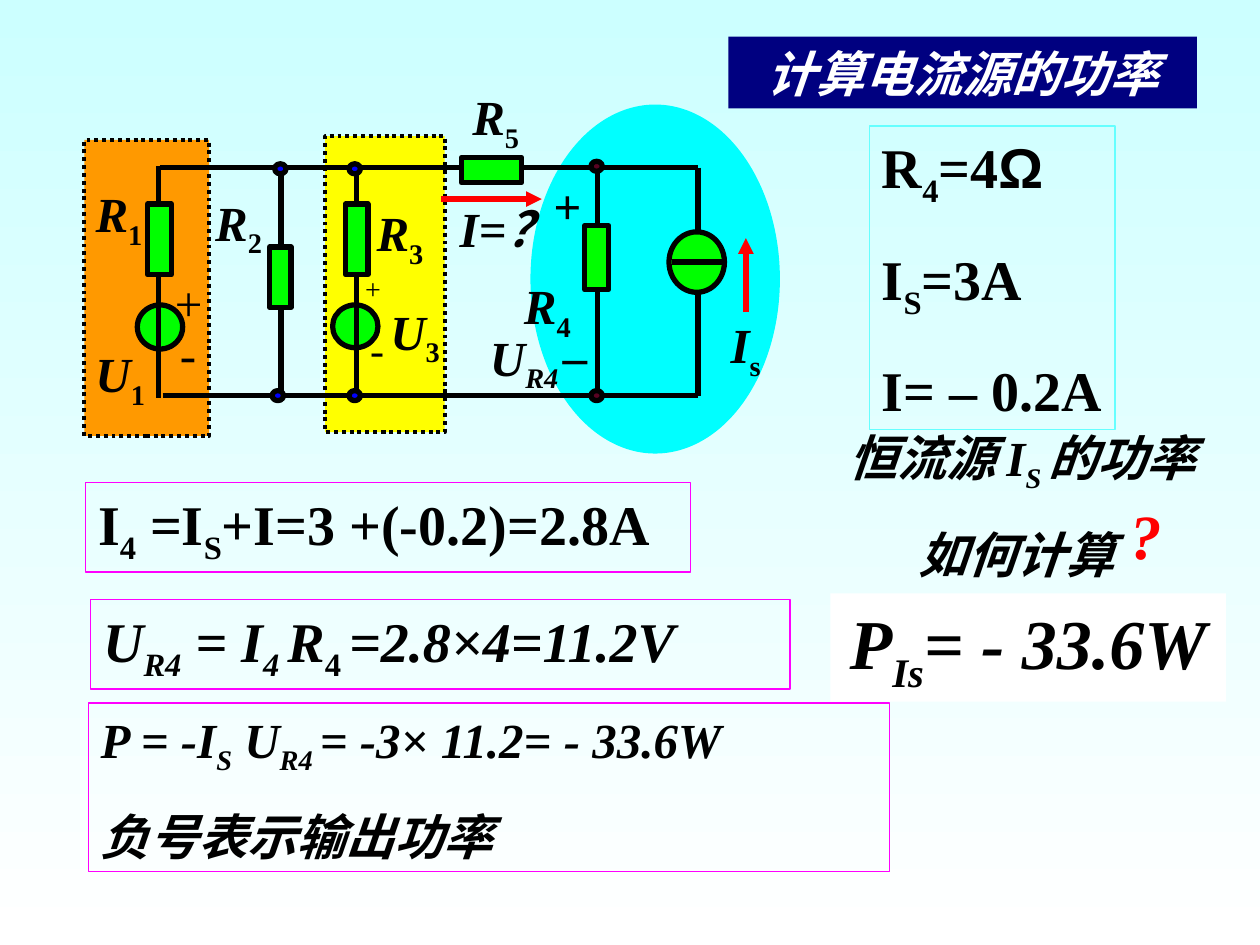
from itertools import pairwise

from lxml.etree import SubElement
from pptx import Presentation
from pptx.dml.color import RGBColor
from pptx.enum.dml import MSO_LINE
from pptx.enum.shapes import MSO_CONNECTOR, MSO_SHAPE
from pptx.enum.text import MSO_ANCHOR as ANCHOR, MSO_AUTO_SIZE as FIT, PP_ALIGN as ALIGN
from pptx.oxml.ns import qn
from pptx.util import Pt

PX = 9144
FONT = "Times New Roman"
BLACK = RGBColor(0x00, 0x00, 0x00)
WHITE = RGBColor(0xFF, 0xFF, 0xFF)
RED = RGBColor(0xFF, 0x00, 0x00)
GREEN = RGBColor(0x00, 0xFF, 0x00)
BLUE = RGBColor(0x00, 0x00, 0xFF)
MAROON = RGBColor(0x59, 0x03, 0x22)
CYAN = RGBColor(0x00, 0xFF, 0xFF)
PALE_CYAN = RGBColor(0xCC, 0xFF, 0xFF)
FRAME_CYAN = RGBColor(0x66, 0xFF, 0xFF)
YELLOW = RGBColor(0xFF, 0xFF, 0x00)
ORANGE = RGBColor(0xFF, 0x99, 0x00)
NAVY = RGBColor(0x00, 0x00, 0x80)
MAGENTA = RGBColor(0xFF, 0x00, 0xFF)
RECT, OVAL = MSO_SHAPE.RECTANGLE, MSO_SHAPE.OVAL


def scaled(*lengths):
    return [n * PX for n in lengths]


def paint_background(slide):
    fill = slide.background.fill
    fill.gradient()
    fill.gradient_angle = 270
    for stop, color in zip(fill.gradient_stops, (PALE_CYAN, WHITE)):
        stop.color.rgb = color


def add_block(slide, kind, box, fill=None, line=None, width=3, dash=None):
    sp = slide.shapes.add_shape(kind, *scaled(*box))
    sp.shadow.inherit = False
    if fill is None:
        sp.fill.background()
    else:
        sp.fill.solid()
        sp.fill.fore_color.rgb = fill
    if line is None:
        sp.line.fill.background()
    else:
        sp.line.color.rgb = line
        sp.line.width = Pt(width)
        sp.line.dash_style = dash
    return sp


def add_wire(slide, x1, y1, x2, y2, color=BLACK, arrow=False):
    cx = slide.shapes.add_connector(MSO_CONNECTOR.STRAIGHT, *scaled(x1, y1, x2, y2))
    cx.line.color.rgb = color
    cx.line.width = Pt(3)
    if arrow:
        SubElement(cx.line._get_or_add_ln(), qn("a:tailEnd"), type="triangle")
    SubElement(cx._element.spPr, qn("a:effectLst"))
    return cx


def add_runs(p, markup):
    for i, part in enumerate(markup.split("|")):
        if not part:
            continue
        r = p.add_run()
        r.text = part.lstrip("^")
        if part.startswith("^"):
            r.font.italic = False
        if i % 2:
            r._r.get_or_add_rPr().set("baseline", "-25000")


def write(sp, lines, size=28, color=BLACK, bold=True, italic=True,
          align=ALIGN.LEFT, anchor=ANCHOR.MIDDLE, wrap=True, fit=FIT.SHAPE_TO_FIT_TEXT):
    tf = sp.text_frame
    tf.word_wrap = wrap
    tf.auto_size = fit
    tf.vertical_anchor = anchor
    for i, markup in enumerate(lines):
        p = tf.add_paragraph() if i else tf.paragraphs[0]
        p.alignment = align
        p.space_before = Pt(size * 0.625 if i else 0)
        p.font.name = FONT
        p.font.size = Pt(size)
        p.font.bold = bold
        p.font.italic = italic
        p.font.color.rgb = color
        add_runs(p, markup)


def add_label(slide, box, lines, wrap=False, **style):
    write(slide.shapes.add_textbox(*scaled(*box)), lines, wrap=wrap, **style)


def add_title(slide):
    sp = slide.shapes.title
    sp.left, sp.top, sp.width, sp.height = scaled(578, 29, 372, 57)
    sp.fill.solid()
    sp.fill.fore_color.rgb = NAVY
    write(sp, ["计算电流源的功率"], color=WHITE, align=ALIGN.CENTER, fit=FIT.NONE)


def add_circuit(slide):
    add_block(slide, OVAL, (421, 83, 198, 277), CYAN)
    for box, color in (((258, 108, 95, 235), YELLOW), ((67, 111, 99, 235), ORANGE)):
        add_block(slide, RECT, box, color, BLACK, 2.25, MSO_LINE.ROUND_DOT)
    for box in ((531, 184, 44, 48), (109, 242, 36, 35), (264, 242, 36, 34)):
        add_block(slide, OVAL, box, GREEN, BLACK)

    top, bottom = 133, 314
    for y, nodes in ((top, (127, 274, 344, 454, 554)), (bottom, (129, 274, 554))):
        for x1, x2 in pairwise(nodes):
            add_wire(slide, x1, y, x2, y)
    for x, nodes in ((126, (132, 316)), (223, (top, bottom)),
                     (474, (top, 163, 263, bottom)),
                     (554, (top, 153, 186)), (554, (230, 252, bottom))):
        for y1, y2 in pairwise(nodes):
            add_wire(slide, x, y1, x, y2)
    add_wire(slide, 533, 208, 577, 208)

    for box in ((117, 162, 19, 56), (214, 196, 17, 48), (464, 179, 19, 51)):
        add_block(slide, RECT, box, GREEN, BLACK)
    add_block(slide, RECT, (380, 111, 20, 48), GREEN, BLACK).rotation = 90
    r3 = add_block(slide, RECT, (274, 162, 18, 56), GREEN, BLACK)
    add_wire(slide, 283, 131, 283, 162).end_connect(r3, 0)
    add_wire(slide, 283, 218, 283, bottom).begin_connect(r3, 2)

    for x, y, color in ((469, 310, MAROON), (469, 128, MAROON), (277, 130, BLUE),
                        (218, 130, BLUE), (216, 310, BLUE), (277, 310, BLUE)):
        add_block(slide, OVAL, (x, y, 9, 8), color, BLACK)
    add_wire(slide, 592, 248, 592, 189, RED, arrow=True)
    add_wire(slide, 350, 158, 430, 158, RED, arrow=True)


def add_circuit_labels(slide):
    for x, y, w, markup in ((570, 245, 44, "I|^s"), (66, 141, 57, "R|^1"),
                            (66, 268, 60, "U|^1"), (289, 156, 57, "R|^3"),
                            (365, 64, 57, "R|^5"), (406, 214, 57, "R|^4"),
                            (300, 234, 59, "U|^3")):
        add_label(slide, (x, y, w, 63), [markup], anchor=ANCHOR.TOP)
    for box, markup in (((161, 148, 85, 63), "R|^2"), ((355, 153, 125, 57), "I=？")):
        add_label(slide, box, [markup], wrap=True, anchor=ANCHOR.TOP)
    for box, sign, size in (((133, 252, 33, 57), "-", 28), ((129, 211, 42, 57), "+", 28),
                            ((280, 211, 33, 37), "+", 16), ((284, 252, 40, 50), "-", 24)):
        add_label(slide, box, [sign], size=size, bold=False, italic=False,
                  anchor=ANCHOR.TOP)
    for box, markup in (((379, 255, 74, 63), "U|R4"), ((429, 134, 42, 57), "+"),
                        ((437, 253, 39, 57), "–")):
        add_label(slide, box, [markup], align=ALIGN.CENTER)


def add_solution(slide):
    for box, lines, size, italic in (
            ((68, 383, 480, 71), ["I|4| =I|S|+I=3 +(-0.2)=2.8A"], 32, False),
            ((72, 476, 555, 71), ["U|R4| = I|4 |R|^4 |=2.8×4=11.2V"], 32, True),
            ((70, 558, 636, 134),
             ["P = -I|S| U|R4 |= -3× 11.2= - 33.6W", "负号表示输出功率"], 28, True)):
        sp = add_block(slide, RECT, box, line=MAGENTA, width=0.75)
        write(sp, lines, size=size, italic=italic)

    given = add_block(slide, RECT, (690, 100, 195, 241), line=FRAME_CYAN, width=0.75)
    write(given, ["R|4|=4||Ω", "I|S|=3A", "I= – 0.2A"], size=32, italic=False, wrap=False)
    given.text_frame.paragraphs[0].runs[-1].font.name = "Arial"

    add_label(slide, (654, 334, 314, 134), ["恒流源 I|S |的功率", "如何计算 "],
              align=ALIGN.CENTER)
    add_label(slide, (887, 389, 45, 70), ["?"], size=36, color=RED, align=ALIGN.CENTER)
    result = add_block(slide, RECT, (659, 471, 314, 86), WHITE)
    write(result, ["P|Is|= - 33.6W"], size=40, align=ALIGN.CENTER)


def main():
    prs = Presentation()
    prs.slide_width, prs.slide_height = scaled(1000, 750)
    slide = prs.slides.add_slide(prs.slide_layouts[5])
    paint_background(slide)
    add_title(slide)
    add_circuit(slide)
    add_circuit_labels(slide)
    add_solution(slide)
    prs.save("out.pptx")


if __name__ == "__main__":
    main()
